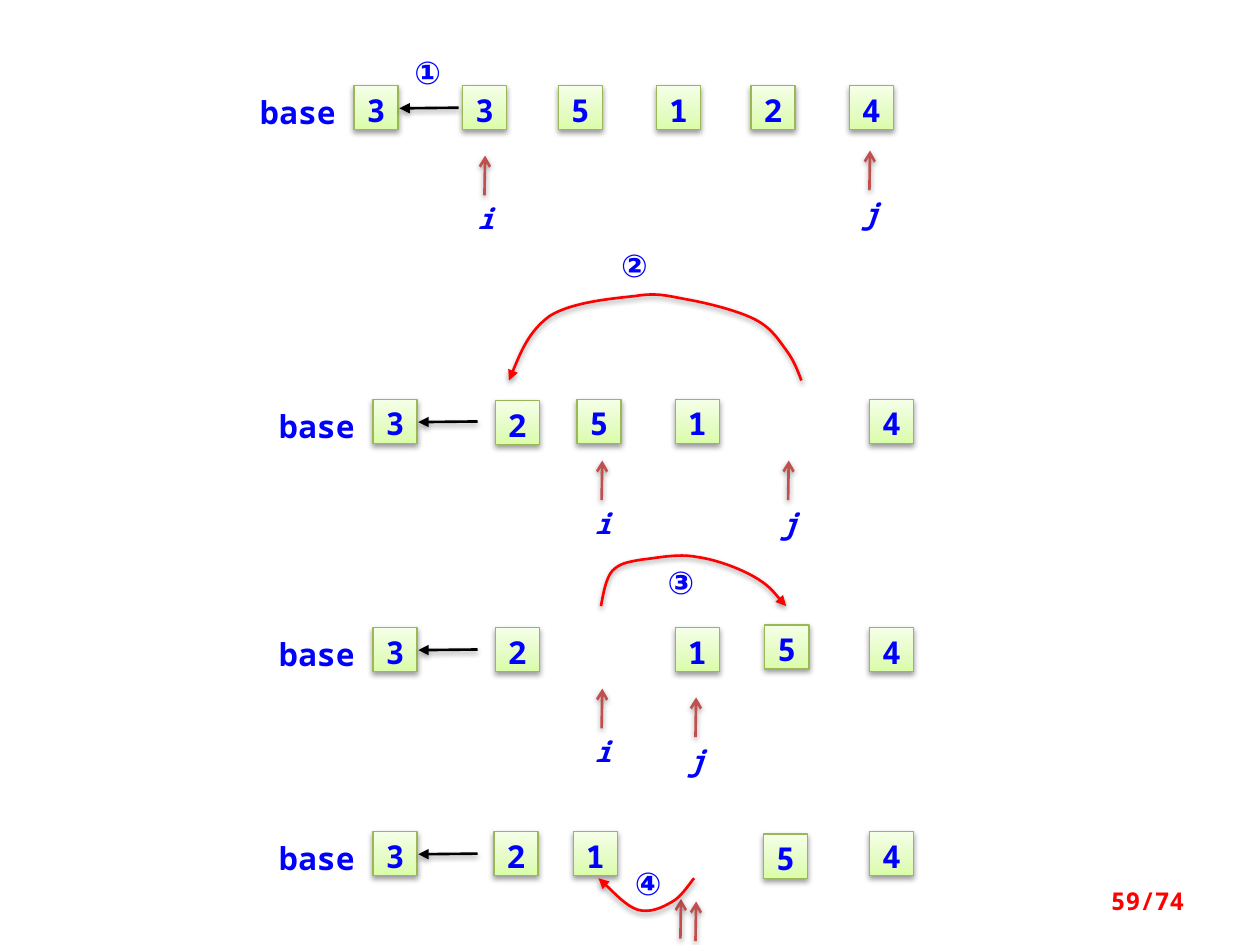
"""Build a slide that traces four steps of a quicksort partition."""
import copy
import pptx
import pptx.dml.color
import pptx.enum.shapes
import pptx.enum.text
import pptx.oxml
import pptx.oxml.ns
import pptx.oxml.xmlchemy
import pptx.util

THEME = {
    "font": "Noto Sans Mono", "text": "0000FF", "move": "FF0000", "mark": "C0504D",
    "save": "000000", "edge": "98B955", "back": "FFFFFF",
    "cell": [(0, "DAFDA7"), (0.35, "E4FCC2"), (1, "F5FFE7")],
    "big": 18, "mid": 16, "page": 14, "line": 1.5, "thin": 0.75,
}
SHADE = (
    '<a:effectLst xmlns:a="http://schemas.openxmlformats.org/drawingml/2006/main">'
    '<a:outerShdw blurRad="40000" dist="20000" dir="5400000" rotWithShape="0">'
    '<a:srgbClr val="000000"><a:alpha val="38000"/></a:srgbClr>'
    '</a:outerShdw></a:effectLst>'
)
RGB = pptx.dml.color.RGBColor.from_string
ALIGN = pptx.enum.text.PP_ALIGN
RECT = pptx.enum.shapes.MSO_SHAPE.RECTANGLE
LINE = pptx.enum.shapes.MSO_CONNECTOR.STRAIGHT

deck = pptx.Presentation()
deck.slide_width = pptx.util.Inches(10)
deck.slide_height = pptx.util.Inches(7.5)
slide = deck.slides.add_slide(deck.slide_layouts[6])
shapes = slide.shapes
unit = deck.slide_width // 100


def write(shape, text, size, color, align, inset=None, top=0, slant=False):
    frame = shape.text_frame
    frame.vertical_anchor = pptx.enum.text.MSO_ANCHOR.TOP
    frame.word_wrap = True
    if inset is not None:
        frame.margin_left = frame.margin_right = frame.margin_bottom = inset
        frame.margin_top = round(top * unit)
    para = frame.paragraphs[0]
    para.alignment = align
    run = para.add_run()
    run.text = text
    run.font.name = THEME["font"]
    run.font.size = pptx.util.Pt(size)
    run.font.bold = True
    run.font.italic = slant
    run.font.color.rgb = RGB(color)


def edge(shape, color, width, head=None):
    shape.line.color.rgb = RGB(color)
    shape.line.width = pptx.util.Pt(width)
    props = shape._element.spPr
    if head:
        end = pptx.oxml.xmlchemy.OxmlElement("a:tailEnd")
        end.set("type", head)
        props.find(pptx.oxml.ns.qn("a:ln")).append(end)
    props.append(pptx.oxml.parse_xml(SHADE))


steps = [
    (28.1, 6.8,
     [(36.7, 6.8, "3"), (44.3, 6.8, "5"), (52.1, 6.8, "1"), (59.6, 6.8, "2"), (67.4, 6.8, "4")],
     [(38.45, 15.5, "i"), (69, 15.1, "j")]),
    (29.6, 31.7,
     [(39.3, 31.8, "2"), (45.8, 31.7, "5"), (53.6, 31.7, "1"), (69, 31.7, "4")],
     [(47.75, 39.7, "i"), (62.55, 39.7, "j")]),
    (29.6, 49.8,
     [(39.3, 49.8, "2"), (53.6, 49.8, "1"), (60.7, 49.6, "5"), (69, 49.8, "4")],
     [(47.75, 57.8, "i"), (55.2, 58.5, "j")]),
    (29.6, 66,
     [(39.2, 66, "2"), (45.5, 66, "1"), (60.6, 66.2, "5"), (69, 66, "4")],
     [(54, 74.5, ""), (55.2, 74.7, "")]),
]
tags = [(32.4, 4.2, 3.1, "①"), (48.8, 19.5, 3.1, "②"),
        (52.5, 44.7, 3.1, "③"), (49.9, 68.6, 3.1, "④")]
tags += [(left - 8.2, top + 0.6, 7.5, "base") for left, top, cells, marks in steps]

for left, top, width, text in tags:
    tag = shapes.add_shape(RECT, *[round(n * unit) for n in (left, top, width, 3.2)])
    tag.shadow.inherit = False
    tag.fill.solid()
    tag.fill.fore_color.rgb = RGB(THEME["back"])
    tag.line.fill.background()
    write(tag, text, THEME["big"], THEME["text"], ALIGN.CENTER, 0)

for left, top, cells, marks in steps:
    for x, y, text in [(left, top, "3")] + cells:
        cell = shapes.add_shape(RECT, *[round(n * unit) for n in (x, y, 3.5, 3.5)])
        cell.fill.gradient()
        cell.fill.gradient_angle = 90
        stops = cell._element.spPr.find(".//" + pptx.oxml.ns.qn("a:gsLst"))
        stops.append(copy.deepcopy(stops[0]))
        for stop, (place, color) in zip(cell.fill.gradient_stops, THEME["cell"]):
            stop.position = place
            stop.color.rgb = RGB(color)
        edge(cell, THEME["edge"], THEME["thin"])
        write(cell, text, THEME["big"], THEME["text"], ALIGN.CENTER, 0, 0.4)

    ends = (left + 8.3, top + 1.75, left + 3.6, top + 1.8)
    save = shapes.add_connector(LINE, *[round(n * unit) for n in ends])
    edge(save, THEME["save"], THEME["line"], "triangle")

    for x, y, text in marks:
        ends = (x, y, x + 0.05, y - 3.15)
        mark = shapes.add_connector(LINE, *[round(n * unit) for n in ends])
        edge(mark, THEME["mark"], THEME["line"], "arrow")
        if text:
            name = shapes.add_textbox(*[round(n * unit) for n in (x - 1.55, y, 3.9, 3.7)])
            write(name, text, THEME["mid"], THEME["text"], ALIGN.LEFT, slant=True)

curves = [
    [(63.6, 30.2), (63.3, 29.4), (63, 28.6), (62.4, 27.8), (61.8, 27), (61.3, 26.1),
     (60, 25.4), (58.7, 24.7), (56.3, 24.1), (54.7, 23.8), (53, 23.5), (52.2, 23.2),
     (50.4, 23.5), (48.5, 23.7), (45.3, 24), (43.6, 25.1), (42, 26.3), (41.2, 28.2),
     (40.4, 30.2)],
    [(47.7, 48.1), (47.9, 47), (48.1, 45.9), (48.6, 45.3), (49.2, 44.7), (49.8, 44.6),
     (51, 44.4), (52.1, 44.3), (53.8, 43.9), (55.3, 44.2), (56.8, 44.4), (58.7, 45.1),
     (59.9, 45.8), (61.1, 46.5), (61.9, 47.6), (62.4, 48.1)],
    [(55.1, 69.7), (54.8, 70), (54.1, 71.2), (53.3, 71.6), (52.6, 72), (51.6, 72.5),
     (50.6, 72.2), (49.7, 71.9), (48.2, 70.3), (47.5, 69.7)],
]
for curve in curves:
    dots = [(round(x * unit), round(y * unit)) for x, y in curve]
    pen = shapes.build_freeform(*dots[0])
    pen.add_line_segments(dots[1:], close=False)
    move = pen.convert_to_shape()
    legs = move._element.findall(".//" + pptx.oxml.ns.qn("a:lnTo"))
    for start in range(0, len(legs), 3):
        bend = pptx.oxml.xmlchemy.OxmlElement("a:cubicBezTo")
        legs[start].addprevious(bend)
        for leg in legs[start:start + 3]:
            bend.append(leg[0])
            leg.getparent().remove(leg)
    move.fill.background()
    edge(move, THEME["move"], THEME["line"], "triangle")

page = shapes.add_textbox(*[round(n * unit) for n in (71.7, 69.5, 23.3, 4)])
write(page, "59/74", THEME["page"], THEME["move"], ALIGN.RIGHT)
page.text_frame.vertical_anchor = pptx.enum.text.MSO_ANCHOR.MIDDLE

deck.save("out.pptx")
